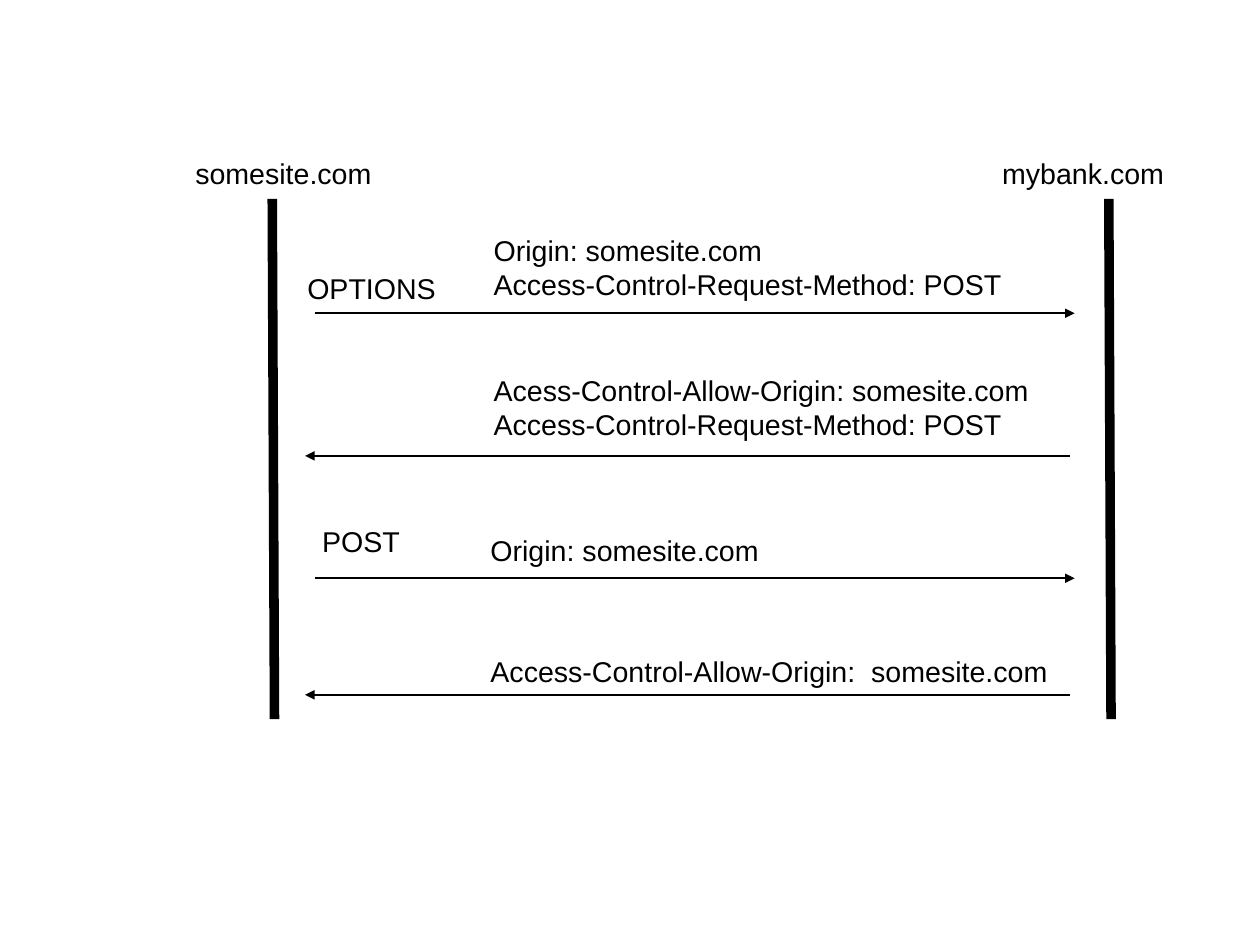
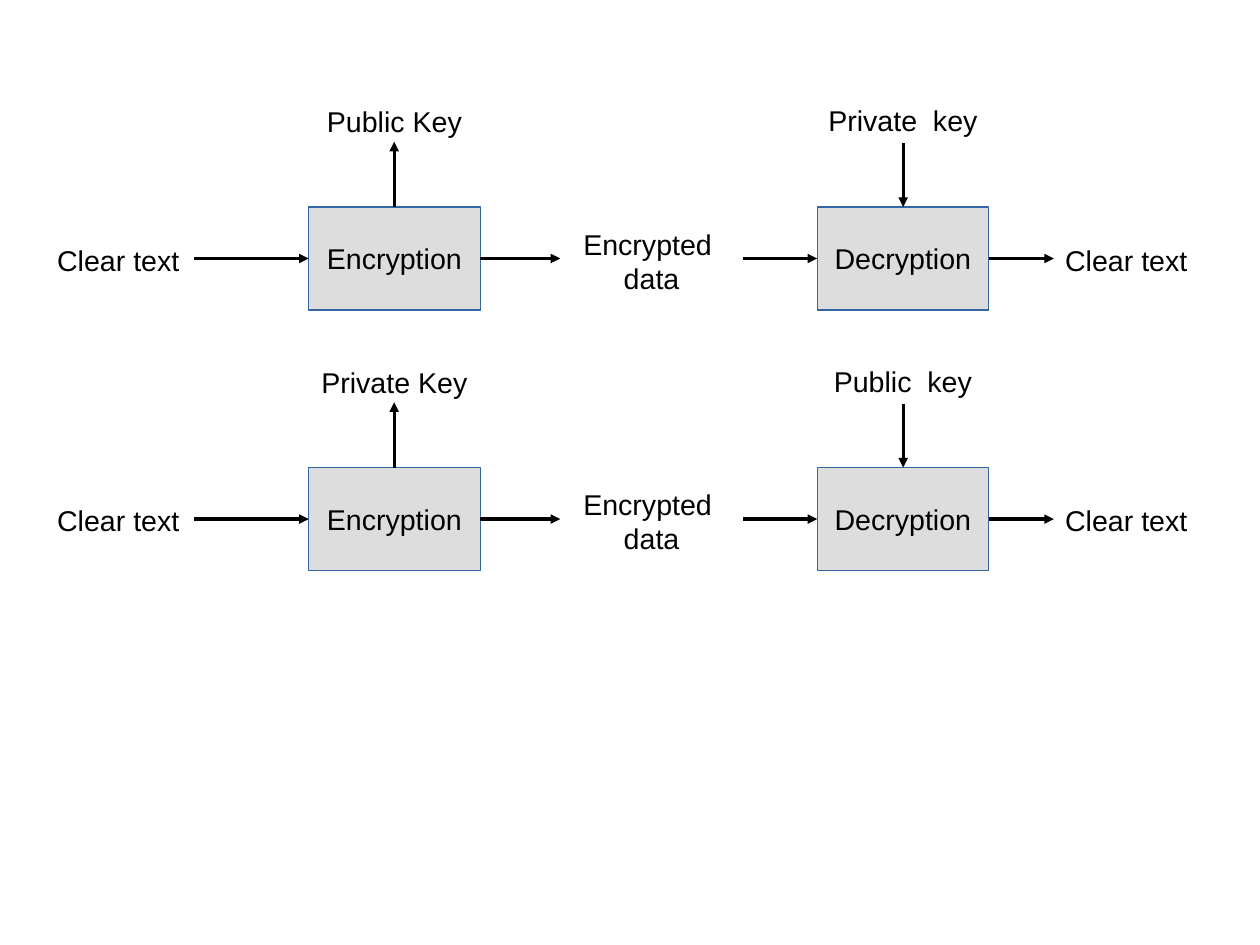
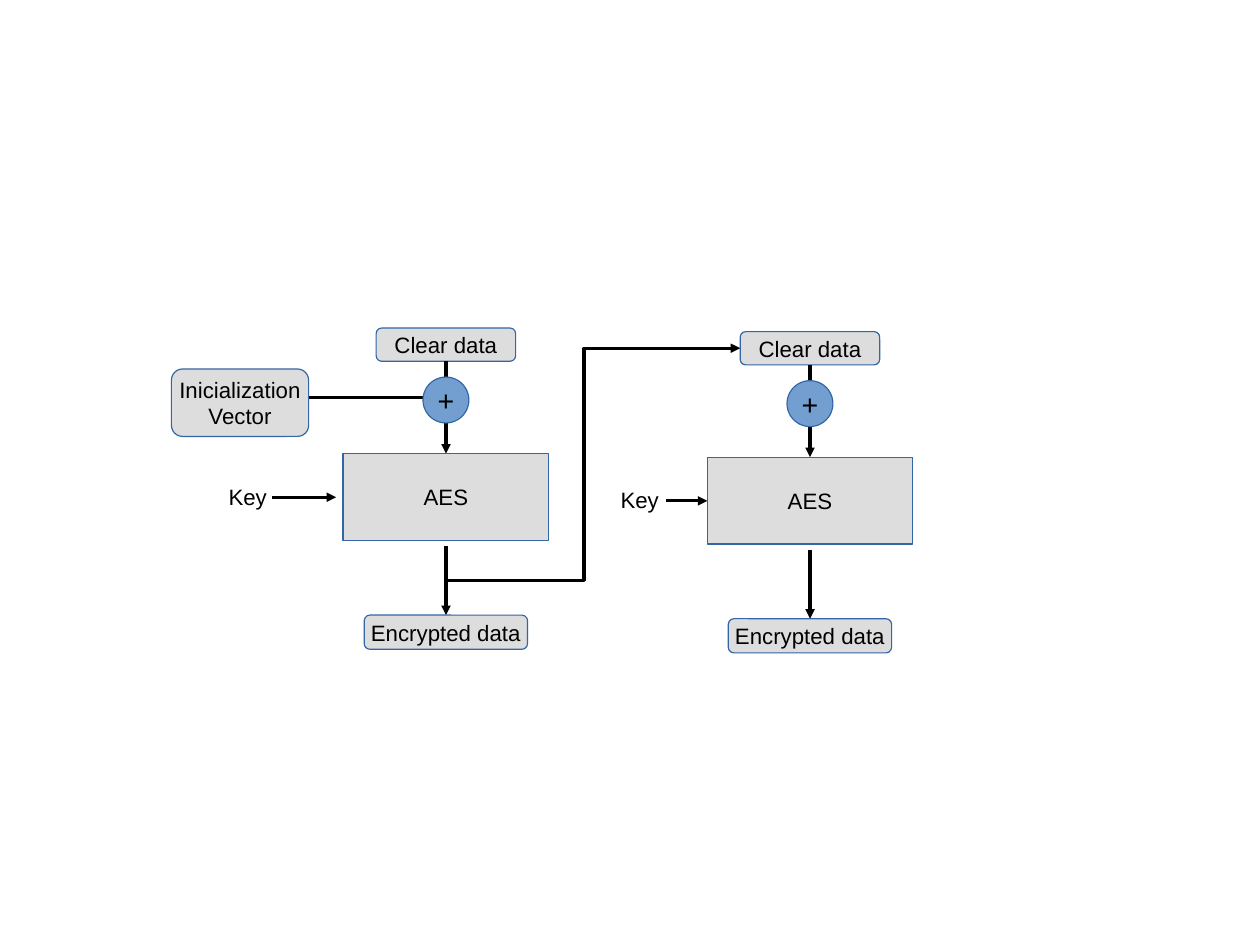
from lxml.etree import SubElement
from pptx import Presentation
from pptx.dml.color import RGBColor
from pptx.enum.shapes import MSO_CONNECTOR, MSO_SHAPE
from pptx.enum.text import MSO_ANCHOR, PP_ALIGN
from pptx.oxml.ns import qn
from pptx.util import Cm, Pt

BLACK = RGBColor(0x00, 0x00, 0x00)
GREY = RGBColor(0xDD, 0xDD, 0xDD)
BLUE = RGBColor(0x72, 0x9F, 0xCF)
OUTLINE = RGBColor(0x34, 0x65, 0xA4)
FONT = "Arial"
HAIRLINE = 0
BLANK_LAYOUT = 6


def write(tf, lines, size, align):
    """Put one paragraph per line into a text frame with shared margins."""
    tf.margin_left = tf.margin_right = Cm(0.25)
    tf.margin_top = tf.margin_bottom = Cm(0.13)
    for i, line in enumerate(lines):
        p = tf.add_paragraph() if i else tf.paragraphs[0]
        p.alignment = align
        r = p.add_run()
        r.text = line
        r.font.name = FONT
        r.font.size = Pt(size)
        r.font.color.rgb = BLACK


def add_label(s, lines, x, y, w, h=0.97, size=18, align=PP_ALIGN.LEFT):
    tf = s.shapes.add_textbox(Cm(x), Cm(y), Cm(w), Cm(h)).text_frame
    tf.word_wrap = True
    write(tf, lines, size, align)


def add_box(s, kind, lines, x, y, w, h, size=14, fill=GREY):
    sp = s.shapes.add_shape(kind, Cm(x), Cm(y), Cm(w), Cm(h))
    sp.shadow.inherit = False
    sp.fill.solid()
    sp.fill.fore_color.rgb = fill
    sp.line.color.rgb = OUTLINE
    sp.line.width = HAIRLINE
    tf = sp.text_frame
    tf.word_wrap = False
    tf.vertical_anchor = MSO_ANCHOR.MIDDLE
    write(tf, lines, size, PP_ALIGN.CENTER)


def add_line(s, x1, y1, x2, y2, width=HAIRLINE, kind=MSO_CONNECTOR.STRAIGHT):
    line = s.shapes.add_connector(kind, Cm(x1), Cm(y1), Cm(x2), Cm(y2))
    line.line.color.rgb = BLACK
    line.line.width = width
    SubElement(line._element.spPr, qn("a:effectLst"))
    return line


def add_arrow(s, *ends, **options):
    arrow = add_line(s, *ends, **options)
    SubElement(arrow.line._get_or_add_ln(), qn("a:tailEnd"), type="triangle")
    return arrow


def draw_preflight(s):
    for site, label_x, x in (("somesite.com", 4.09, 6.05),
                             ("mybank.com", 22.02, 24.64)):
        add_label(s, [site], label_x, 3.33, 4.93)
        add_line(s, x, 4.42, x + 0.05, 15.98, width=Pt(6))

    to_bank, to_site = (6.99, 23.88), (23.77, 6.78)
    method = "Access-Control-Request-Method: POST"
    messages = (
        (to_bank, 6.96, 10.72, 5.05, ["Origin: somesite.com", method]),
        (to_site, 10.13, 10.72, 8.15,
         ["Acess-Control-Allow-Origin: somesite.com", method]),
        (to_bank, 12.85, 10.65, 11.71, ["Origin: somesite.com"]),
        (to_site, 15.44, 10.65, 14.4,
         ["Access-Control-Allow-Origin:  somesite.com"]),
    )
    for (start, end), y, label_x, label_y, headers in messages:
        add_arrow(s, start, y, end, y, width=Pt(1))
        add_label(s, headers, label_x, label_y, 14.07, 0.97 * len(headers))
    add_label(s, ["OPTIONS"], 6.58, 5.89, 4.32)
    add_label(s, ["POST"], 6.91, 11.51, 2.59)


def draw_key_flow(s, top, encryption_key, decryption_key):
    """Draw one row from clear text to clear text; top is that of its boxes."""
    w, h = 3.81, 2.29
    middle = top + h / 2
    center = PP_ALIGN.CENTER
    for x, stage in ((6.86, "Encryption"), (18.16, "Decryption")):
        add_box(s, MSO_SHAPE.FLOWCHART_PROCESS, [stage], x, top, w, h, size=18)
    add_label(s, ["Clear text"], 1.02, middle - 0.48, 3.3)
    add_label(s, ["Encrypted ", "data"], 12.45, middle - 0.84, 4.06, 1.68,
              align=center)
    add_label(s, ["Clear text"], 23.42, middle - 0.48, 4.57)
    for start, end in ((4.32, 6.86), (10.67, 12.45), (16.51, 18.16),
                       (21.97, 23.42)):
        add_arrow(s, start, middle, end, middle)
    add_label(s, [encryption_key], 6.1, top - 2.42, 5.33, align=center)
    add_label(s, [decryption_key], 17.78, top - 2.44, 4.57, align=center)
    add_arrow(s, 8.76, top, 8.76, top - 1.45)
    add_arrow(s, 20.07, top - 1.42, 20.07, top)


def draw_cipher_block(s, center, top):
    """Draw clear data, plus sign, AES and encrypted data under each other."""
    def centred(kind, text, dy, w, h, **options):
        add_box(s, kind, [text], center - w / 2, top + dy, w, h, **options)

    rounded = MSO_SHAPE.ROUNDED_RECTANGLE
    centred(rounded, "Clear data", 0, 3.1, 0.74)
    add_arrow(s, center, top + 0.74, center, top + 2.79)
    centred(MSO_SHAPE.OVAL, "+", 1.09, 1.02, 1.02, size=18, fill=BLUE)
    centred(MSO_SHAPE.RECTANGLE, "AES", 2.79, 4.57, 1.93)
    add_arrow(s, center, top + 4.85, center, top + 6.38)
    centred(rounded, "Encrypted data", 6.38, 3.63, 0.76)


def draw_chaining(s):
    first, second = (9.91, 7.29), (18.0, 7.37)
    add_box(s, MSO_SHAPE.ROUNDED_RECTANGLE, ["Inicialization", "Vector"],
            3.81, 8.2, 3.05, 1.5)
    add_arrow(s, 6.86, 8.84, first[0], 8.84)
    for center, top in (first, second):
        draw_cipher_block(s, center, top)
    for label_x, label_y, start, end, y in ((4.83, 10.62, 6.05, 7.47, 11.05),
                                            (13.54, 10.67, 14.81, 15.72, 11.13)):
        add_label(s, ["Key"], label_x, label_y, 1.75, 0.81, size=14)
        add_arrow(s, start, y, end, y)
    feedback = add_arrow(s, first[0], 12.9, second[0] - 1.55, second[1] + 0.37,
                         kind=MSO_CONNECTOR.ELBOW)
    guides = feedback._element.spPr.find(qn("a:prstGeom")).get_or_add_avLst()
    SubElement(guides, qn("a:gd"), name="adj1", fmla="val 46900")


def main():
    prs = Presentation()
    prs.slide_width, prs.slide_height = Cm(28), Cm(21)
    preflight, keys, chaining = (
        prs.slides.add_slide(prs.slide_layouts[BLANK_LAYOUT]) for _ in range(3))
    draw_preflight(preflight)
    draw_key_flow(keys, 4.6, "Public Key", "Private  key")
    draw_key_flow(keys, 10.39, "Private Key", "Public  key")
    draw_chaining(chaining)
    prs.save("out.pptx")


if __name__ == "__main__":
    main()
